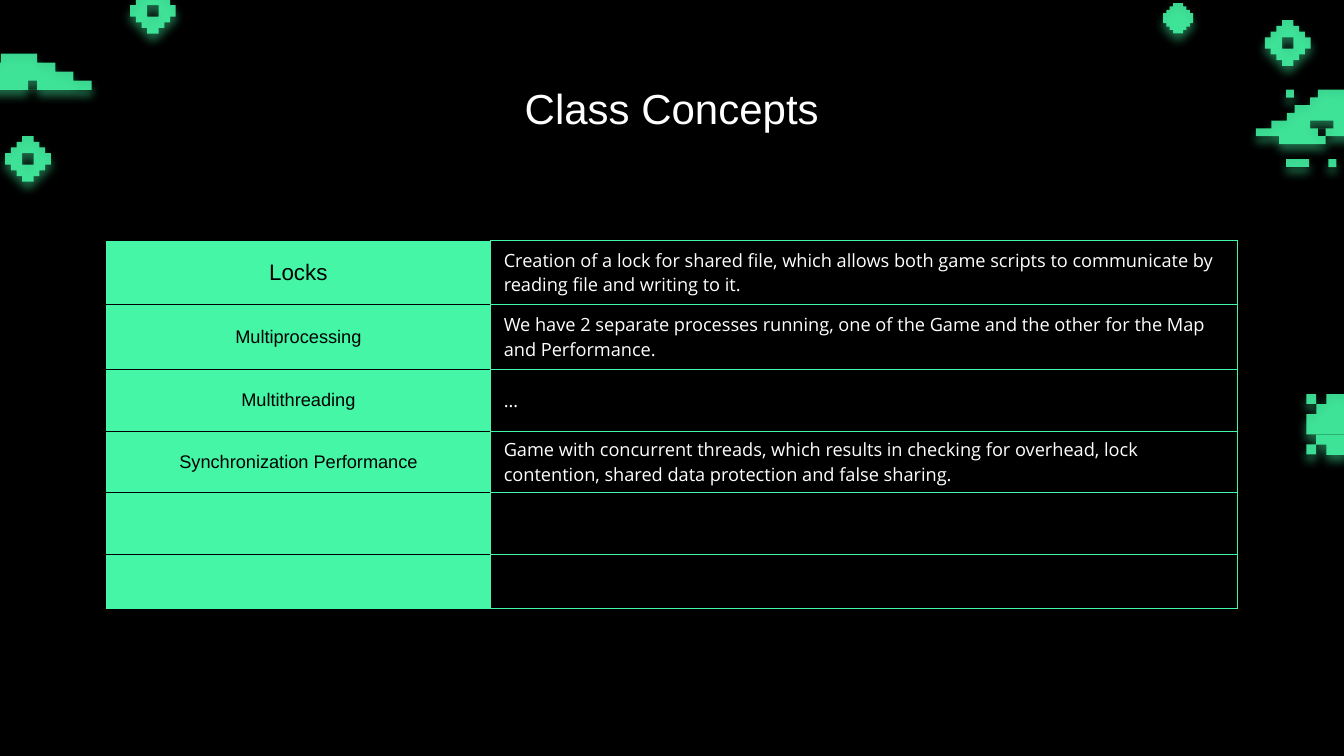
import pptx
import pptx.dml.color
import pptx.enum.text
import pptx.oxml
import pptx.oxml.ns
import pptx.util

Cm = pptx.util.Cm
Pt = pptx.util.Pt
MINT, BLACK, WHITE = "44F6A5", "000000", "FFFFFF"
HEADING_FONT, BODY_FONT = "Arial", "Open Sans"

# Each sprite: (first, last) column of every pixel row, then cut-outs as (left, top, right, bottom).
RING = [(3, 5), (2, 6), (1, 7), (0, 8), (0, 8), (1, 7), (2, 6), (3, 5)], [(3, 3, 5, 5)]
BALL = [(3, 6), (2, 7), (1, 8), (0, 9), (0, 9), (0, 9), (1, 8), (2, 7), (3, 6)], []
CLOUD = [(4, 8), (3, 10), (2, 12), (0, 14)], [(7, 3, 8, 4)]
SHIP = (
    [(8, 12), (7, 14), (5, 16), (4, 18), (2, 21), (0, 23), (3, 9)],
    [(7, 4, 10, 5), (8, 5, 9, 6)],
)
DOME = [(2, 4), (1, 5), (0, 6), (0, 6)], []
BOWL = [(0, 4), (1, 3)], []
DOT = [(0, 1)], []
DASH = [(0, 3)], []

# Sprite with its left, top and width in centimetres.
DECORATIONS = [
    (RING, 3.28, -0.3, 1.15),
    (CLOUD, -0.89, 1.35, 3.2),
    (RING, 0.13, 3.43, 1.15),
    (DOME, 32.92, 9.93, 1.52),
    (BOWL, 33.17, 10.95, 1.02),
    (DOT, 32.92, 9.93, 0.25),
    (DOT, 32.92, 11.2, 0.25),
    (BALL, 29.31, 0.08, 0.76),
    (SHIP, 31.65, 2.26, 4.5),
    (DOT, 33.48, 4.01, 0.2),
    (DOT, 32.41, 2.26, 0.2),
    (DASH, 32.41, 4.01, 0.58),
    (RING, 31.88, 0.51, 1.15),
]

CONCEPTS = [
    ("Locks", "Creation of a lock for shared file, which allows both game scripts "
              "to communicate by reading file and writing to it."),
    ("Multiprocessing", "We have 2 separate processes running, one of the Game and "
                        "the other for the Map and Performance."),
    ("Multithreading", "…"),
    ("Synchronization Performance", "Game with concurrent threads, which results in checking for "
                                    "overhead, lock contention, shared data protection and false sharing."),
    ("", ""),
    ("", ""),
]
ROW_HEIGHTS = [1.62, 1.62, 1.56, 1.56, 1.56, 1.34]
NAME_SHARE = 0.34


def color(hex_string):
    """Turn a hex string into a colour."""
    return pptx.dml.color.RGBColor.from_string(hex_string)


def xml(markup):
    """Parse one drawing element, declaring its namespace."""
    tag, rest = markup.split(" ", 1)
    return pptx.oxml.parse_xml(f"{tag} {pptx.oxml.ns.nsdecls('a')} {rest}")


def add_run(paragraph, words, font_name, size, hex_string):
    """Add one formatted run."""
    run = paragraph.add_run()
    run.text = words
    run.font.name = font_name
    run.font.size = Pt(size)
    run.font.color.rgb = color(hex_string)


def add_sprite(slide, sprite, left, top, width):
    """Draw a glowing pixel sprite from its rows and cut-outs."""
    rows, cutouts = sprite
    columns = max(last for _, last in rows)
    right_side = [(last, y + step) for y, (_, last) in enumerate(rows) for step in (0, 1)]
    left_side = [(first, y + step) for y, (first, _) in enumerate(rows) for step in (0, 1)]
    contours = [right_side + left_side[::-1]]
    contours += [[(l, t), (l, b), (r, b), (r, t)] for l, t, r, b in cutouts]

    builder = slide.shapes.build_freeform(*contours[0][0], scale=Cm(width) / columns)
    builder.add_line_segments(contours[0][1:])
    for contour in contours[1:]:
        builder.move_to(*contour[0])
        builder.add_line_segments(contour[1:])
    pixels = builder.convert_to_shape(Cm(left), Cm(top))

    pixels.fill.solid()
    pixels.fill.fore_color.rgb = color(MINT)
    pixels.line.fill.background()
    pixels.shadow.inherit = False
    properties = pixels._element.spPr
    properties.find(".//" + pptx.oxml.ns.qn("a:srgbClr")).append(xml('<a:alpha val="87000"/>'))
    properties.find(pptx.oxml.ns.qn("a:effectLst")).append(xml(
        f'<a:outerShdw blurRad="{Pt(6.8)}" dist="{Pt(4.5)}" dir="5400000" algn="bl" rotWithShape="0">'
        f'<a:srgbClr val="{MINT}"><a:alpha val="50000"/></a:srgbClr></a:outerShdw>'))


def add_title(slide, left, top, width, height):
    """Place the centred heading in its box."""
    heading = slide.shapes.add_textbox(Cm(left), Cm(top), Cm(width), Cm(height)).text_frame
    heading.word_wrap = True
    heading.vertical_anchor = pptx.enum.text.MSO_ANCHOR.MIDDLE
    heading.margin_left = heading.margin_right = Cm(0.33)
    heading.margin_top = heading.margin_bottom = Cm(0.33)
    heading.paragraphs[0].alignment = pptx.enum.text.PP_ALIGN.CENTER
    add_run(heading.paragraphs[0], "Class Concepts", HEADING_FONT, 30, WHITE)


def format_cell(cell, border_colors):
    """Set margins, anchor and the left, right, top and bottom borders."""
    cell.margin_left = cell.margin_right = Cm(0.33)
    cell.margin_top = cell.margin_bottom = 0
    cell.vertical_anchor = pptx.enum.text.MSO_ANCHOR.MIDDLE
    for side, hex_string in zip("LRTB", border_colors):
        cell._tc.get_or_add_tcPr().append(xml(
            f'<a:ln{side} w="{Pt(0.75)}"><a:solidFill><a:srgbClr val="{hex_string}"/>'
            f'</a:solidFill></a:ln{side}>'))


def add_concepts(slide, left, top, width):
    """Place the table of concept names and explanations."""
    concepts = slide.shapes.add_table(
        len(CONCEPTS), 2, Cm(left), Cm(top), Cm(width), Cm(sum(ROW_HEIGHTS))).table
    concepts.first_row = concepts.horz_banding = False
    concepts.columns[0].width = Cm(width * NAME_SHARE)
    concepts.columns[1].width = Cm(width * (1 - NAME_SHARE))

    for index, (name, explanation) in enumerate(CONCEPTS):
        concepts.rows[index].height = Cm(ROW_HEIGHTS[index])
        name_cell, explanation_cell = concepts.cell(index, 0), concepts.cell(index, 1)
        format_cell(name_cell, [BLACK, MINT, BLACK, MINT if index == len(CONCEPTS) - 1 else BLACK])
        format_cell(explanation_cell, [MINT] * 4)
        name_cell.fill.solid()
        name_cell.fill.fore_color.rgb = color(MINT)
        explanation_cell.fill.background()
        if name:
            name_line = name_cell.text_frame.paragraphs[0]
            name_line.alignment = pptx.enum.text.PP_ALIGN.CENTER
            add_run(name_line, name, HEADING_FONT, 16 if index == 0 else 13, BLACK)
            explanation_line = explanation_cell.text_frame.paragraphs[0]
            explanation_line.space_after = Pt(16)
            add_run(explanation_line, explanation, BODY_FONT, 13, WHITE)


def main():
    """Build the slide and save it."""
    deck = pptx.Presentation()
    deck.slide_width, deck.slide_height = Cm(33.87), Cm(19.05)
    slide = deck.slides.add_slide(deck.slide_layouts[6])
    slide.background.fill.solid()
    slide.background.fill.fore_color.rgb = color(BLACK)
    for sprite, left, top, width in DECORATIONS:
        add_sprite(slide, sprite, left, top, width)
    add_title(slide, 2.67, 1.65, 28.52, 2.13)
    add_concepts(slide, 2.67, 6.06, 28.52)
    deck.save("out.pptx")


if __name__ == "__main__":
    main()
